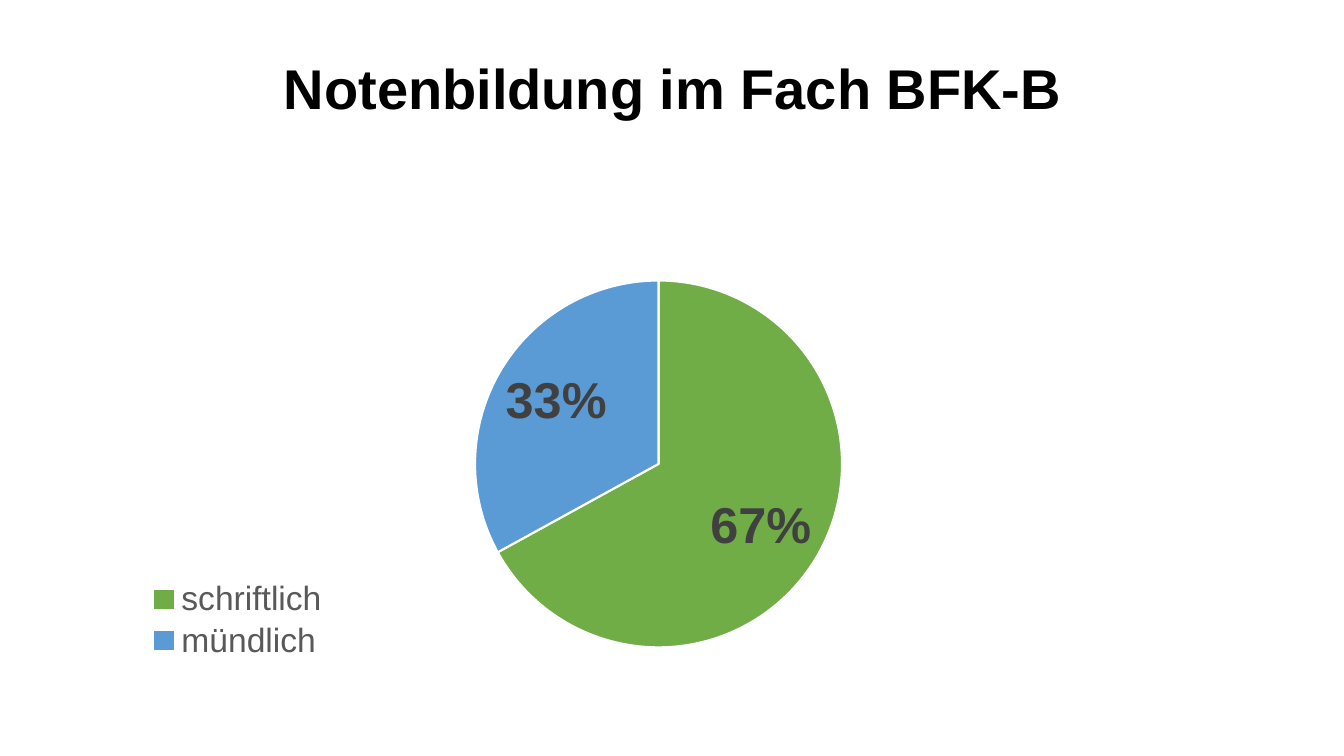
from dataclasses import dataclass

from lxml.etree import SubElement
from pptx import Presentation
from pptx.chart.data import CategoryChartData
from pptx.dml.color import RGBColor
from pptx.enum.chart import XL_CHART_TYPE, XL_LABEL_POSITION, XL_LEGEND_POSITION
from pptx.enum.text import MSO_ANCHOR, PP_ALIGN
from pptx.oxml.ns import qn
from pptx.util import Inches, Pt


@dataclass(frozen=True)
class Theme:
    font: str = "Arial"
    base_font: str = "Calibri"
    black: str = "000000"
    white: str = "FFFFFF"
    label: str = "404040"
    legend: str = "595959"
    slices: tuple = ("70AD47", "5B9BD5")
    title_size: int = 40
    label_size: int = 36
    legend_size: int = 24
    base_size: int = 10


THEME = Theme()
LEFT, WIDTH = 0.92, 11.5
GRADES = {"schriftlich": 0.67, "mündlich": 0.33}


def style(font, name, size, color, bold=False):
    font.name = name
    font.size = Pt(size)
    font.bold = bold
    font.color.rgb = RGBColor.from_string(color)


def place(parent, index, x, y, w, h, inner=False):
    """Give a chart part a manual layout, in fractions of the chart."""
    for old in parent.findall(qn("c:layout")):
        parent.remove(old)
    layout = SubElement(parent, qn("c:layout"))
    parent.insert(index, layout)
    manual = SubElement(layout, qn("c:manualLayout"))
    values = {"xMode": "edge", "yMode": "edge", "x": x, "y": y, "w": w, "h": h}
    if inner:
        values = {"layoutTarget": "inner", **values}
    for tag, value in values.items():
        SubElement(manual, qn(f"c:{tag}")).set("val", str(value))


def add_title(slide, text):
    box = slide.shapes.add_textbox(
        Inches(LEFT), Inches(0.4), Inches(WIDTH), Inches(1.01))
    frame = box.text_frame
    frame.word_wrap = True
    frame.vertical_anchor = MSO_ANCHOR.MIDDLE
    frame.text = text
    line = frame.paragraphs[0]
    line.alignment = PP_ALIGN.CENTER
    line.line_spacing = 0.9
    style(line.runs[0].font, THEME.font, THEME.title_size, THEME.black, True)


def add_pie(slide, shares):
    data = CategoryChartData(number_format="0%")
    data.categories = list(shares)
    data.add_series("Series 1", list(shares.values()))
    chart = slide.shapes.add_chart(
        XL_CHART_TYPE.PIE, Inches(LEFT), Inches(1.91),
        Inches(WIDTH), Inches(5.02), data).chart
    chart.has_title = False
    style(chart.font, THEME.base_font, THEME.base_size, THEME.black)
    plot = chart.plots[0]
    plot.vary_by_categories = True
    place(chart.element.find(f".//{qn('c:plotArea')}"), 0,
          0.026, 0.174, 0.924, 0.725, inner=True)
    color_slices(plot.series[0])
    add_labels(plot)
    add_legend(chart)


def color_slices(series):
    for index, color in enumerate(THEME.slices):
        form = series.points[index].format
        form.fill.solid()
        form.fill.fore_color.rgb = RGBColor.from_string(color)
        form.line.color.rgb = RGBColor.from_string(THEME.white)
        form.line.width = Pt(1.5)


def add_labels(plot):
    plot.has_data_labels = True
    labels = plot.data_labels
    labels.show_value = True
    labels.show_percentage = False
    labels.number_format = "0%"
    labels.number_format_is_linked = False
    labels.position = XL_LABEL_POSITION.INSIDE_END
    style(labels.font, THEME.font, THEME.label_size, THEME.label, True)


def add_legend(chart):
    chart.has_legend = True
    legend = chart.legend
    legend.position = XL_LEGEND_POSITION.BOTTOM
    legend.include_in_layout = False
    style(legend.font, THEME.font, THEME.legend_size, THEME.legend)
    place(chart.element.find(f".//{qn('c:legend')}"), 1,
          0.04, 0.76, 0.17, 0.17)


def main():
    deck = Presentation()
    deck.slide_width, deck.slide_height = Inches(13.33), Inches(7.5)
    slide = deck.slides.add_slide(deck.slide_layouts[6])
    add_title(slide, "Notenbildung im Fach BFK-B")
    add_pie(slide, GRADES)
    deck.save("out.pptx")


if __name__ == "__main__":
    main()
